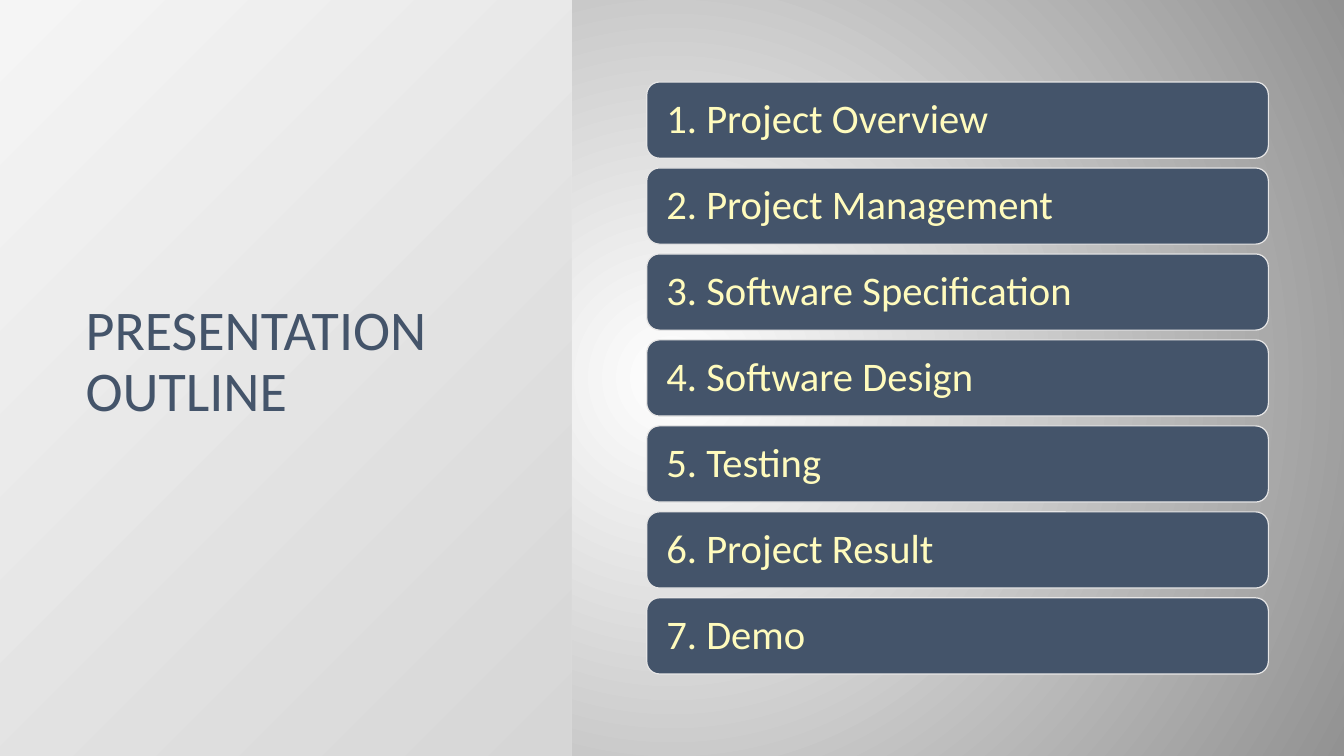
"""Build a presentation outline slide with a title panel and numbered topics."""
from dataclasses import dataclass

from lxml import etree
from pptx import Presentation
from pptx.dml.color import RGBColor
from pptx.enum.shapes import MSO_SHAPE
from pptx.enum.text import MSO_ANCHOR, MSO_AUTO_SIZE, PP_ALIGN
from pptx.oxml.ns import qn
from pptx.util import Pt

RECTANGLE = MSO_SHAPE.RECTANGLE
ROUNDED = MSO_SHAPE.ROUNDED_RECTANGLE
MIDDLE = MSO_ANCHOR.MIDDLE
BOTTOM = MSO_ANCHOR.BOTTOM
LEFT = PP_ALIGN.LEFT
NO_FIT = MSO_AUTO_SIZE.NONE
TITLE_ONLY = 5
PAGE_WIDTH, PAGE_HEIGHT = 960, 540

TOPICS = (
    "Project Overview",
    "Project Management",
    "Software Specification",
    "Software Design",
    "Testing",
    "Project Result",
    "Demo",
)


@dataclass(frozen=True)
class Theme:
    """Colours, font and type sizes of the slide."""
    font: str = "Calibri"
    title_size: float = 40
    topic_size: float = 29
    navy: str = "44546A"
    cream: str = "FFFBBD"
    outline: str = "E7E6E6"
    backdrop: tuple = ("FFFFFF", "929292")
    panel: tuple = ("F5F5F5", "D6D6D6")


class OutlineSlide:
    """Draws the elements of one slide in a given theme."""

    def __init__(self, page, theme):
        """Keep the page and its theme."""
        self.page = page
        self.theme = theme

    def blend(self, fill, colours):
        """Fill with a two-colour gradient."""
        fill.gradient()
        for stop, colour in zip(fill.gradient_stops, colours):
            stop.color.rgb = RGBColor.from_string(colour)

    def backdrop(self):
        """Give the page a gradient that spreads from its centre."""
        self.blend(self.page.background.fill, self.theme.backdrop)
        linear = next(self.page.element.iter(qn("a:lin")))
        circle = etree.Element(qn("a:path"), {"path": "circle"})
        sides = dict.fromkeys("ltrb", "50000")
        etree.SubElement(circle, qn("a:fillToRect"), sides)
        linear.getparent().replace(linear, circle)

    def label(self, shape, text, size, colour, anchor):
        """Set one left-aligned paragraph in a shape."""
        frame = shape.text_frame
        frame.text = text
        frame.word_wrap = True
        frame.auto_size = NO_FIT
        frame.vertical_anchor = anchor
        para = frame.paragraphs[0]
        para.alignment = LEFT
        para.line_spacing = 0.9
        para.font.name = self.theme.font
        para.font.size = Pt(size)
        para.font.color.rgb = RGBColor.from_string(colour)

    def box(self, kind, left, top, width, height):
        """Add a preset shape without a shadow."""
        shape = self.page.shapes.add_shape(
            kind, Pt(left), Pt(top), Pt(width), Pt(height))
        shape.shadow.inherit = False
        return shape

    def panel(self, width):
        """Add the pale panel behind the title."""
        panel = self.box(RECTANGLE, 0, 0, width, PAGE_HEIGHT)
        self.blend(panel.fill, self.theme.panel)
        panel.fill.gradient_angle = 315
        panel.line.fill.background()
        self.page.shapes.title.element.addprevious(panel.element)

    def title(self, text, left, top, width, height):
        """Place and fill the title placeholder."""
        title = self.page.shapes.title
        title.left, title.top = Pt(left), Pt(top)
        title.width, title.height = Pt(width), Pt(height)
        self.label(title, text, self.theme.title_size, self.theme.navy, BOTTOM)

    def topic(self, text, left, top, width, height):
        """Add one rounded topic bar."""
        bar = self.box(ROUNDED, left, top, width, height)
        bar.fill.solid()
        bar.fill.fore_color.rgb = RGBColor.from_string(self.theme.navy)
        bar.line.color.rgb = RGBColor.from_string(self.theme.outline)
        bar.line.width = Pt(0.85)
        bar.text_frame.margin_left = Pt(11.3)
        self.label(bar, text, self.theme.topic_size, self.theme.cream, MIDDLE)


def main():
    """Create the deck and save it."""
    deck = Presentation()
    deck.slide_width, deck.slide_height = Pt(PAGE_WIDTH), Pt(PAGE_HEIGHT)
    page = deck.slides.add_slide(deck.slide_layouts[TITLE_ONLY])
    slide = OutlineSlide(page, Theme())
    slide.backdrop()
    slide.panel(408.4)
    slide.title("PRESENTATION OUTLINE", 54, 54, 306, 252)
    for index, topic in enumerate(TOPICS):
        slide.topic(f"{index + 1}. {topic}", 462, 58.6 + 61.4 * index, 444, 54.4)
    deck.save("out.pptx")


if __name__ == "__main__":
    main()
